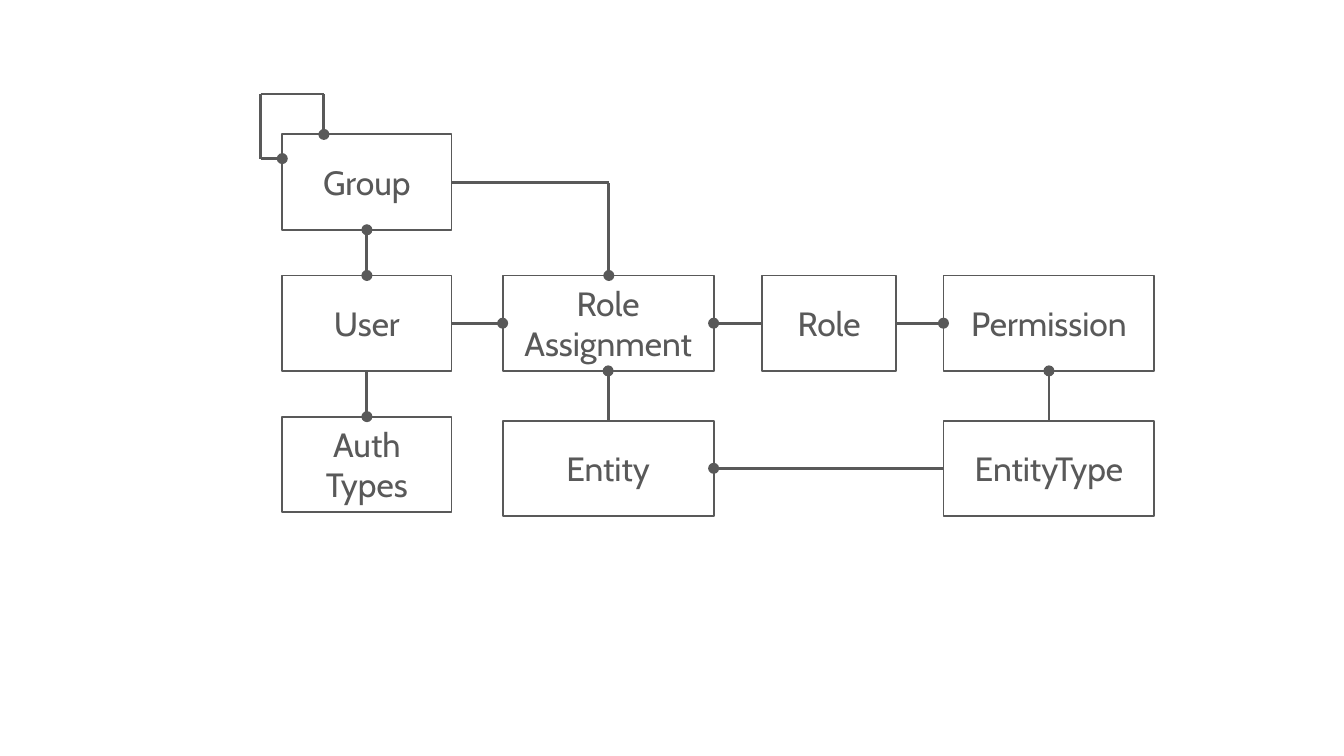
from lxml.etree import SubElement
from pptx import Presentation
from pptx.dml.color import RGBColor
from pptx.enum.shapes import MSO_CONNECTOR, MSO_SHAPE
from pptx.enum.text import MSO_ANCHOR, PP_ALIGN
from pptx.oxml.ns import qn
from pptx.util import Inches, Pt

COLORS = {"ink": "595959", "paper": "FFFFFF"}
FONT = "Cabin"
BOX_HEIGHT = 0.71

# Entities: name -> (label, left, top, width)
BOXES = {
    "group": ("Group", 2.1, 1, 1.26),
    "user": ("User", 2.1, 2.05, 1.26),
    "auth": ("Auth\vTypes", 2.1, 3.1, 1.26),
    "assignment": ("Role\vAssignment", 3.74, 2.05, 1.57),
    "entity": ("Entity", 3.74, 3.13, 1.57),
    "role": ("Role", 5.67, 2.05, 1),
    "permission": ("Permission", 7.02, 2.05, 1.57),
    "entity_type": ("EntityType", 7.02, 3.13, 1.57),
}

# Connection sites of a rectangle
TOP, LEFT, BOTTOM, RIGHT = range(4)

# Straight relations: (box, side) with a dot, (box, side), dot at the far end too
RELATIONS = [
    ("user", TOP, "group", BOTTOM, True),
    ("auth", TOP, "user", BOTTOM, False),
    ("assignment", LEFT, "user", RIGHT, False),
    ("assignment", RIGHT, "role", LEFT, False),
    ("assignment", BOTTOM, "entity", TOP, False),
    ("permission", LEFT, "role", RIGHT, False),
    ("permission", BOTTOM, "entity_type", TOP, False),
    ("entity", RIGHT, "entity_type", LEFT, False),
]

# Bent relations: corner points, dot at the start, dot at the end
ROUTES = [
    ([(2.1, 1.18), (1.94, 1.18), (1.94, 0.7), (2.41, 0.7), (2.41, 1)], True, True),
    ([(4.53, 2.05), (4.53, 1.36), (3.36, 1.36)], True, False),
]


def color(name):
    return RGBColor.from_string(COLORS[name])


def add_box(slide, label, left, top, width):
    shape = slide.shapes.add_shape(
        MSO_SHAPE.RECTANGLE, Inches(left), Inches(top), Inches(width), Inches(BOX_HEIGHT))
    shape.shadow.inherit = False
    shape.fill.solid()
    shape.fill.fore_color.rgb = color("paper")
    shape.line.color.rgb = color("ink")
    shape.line.width = Pt(1)
    frame = shape.text_frame
    frame.word_wrap = True
    frame.vertical_anchor = MSO_ANCHOR.MIDDLE
    frame.text = label
    paragraph = frame.paragraphs[0]
    paragraph.alignment = PP_ALIGN.CENTER
    paragraph.font.name = FONT
    paragraph.font.size = Pt(18)
    paragraph.font.color.rgb = color("ink")
    return shape


def add_line(slide, start=(0, 0), end=(0, 0), start_dot=False, end_dot=False):
    points = [Inches(value) for value in (*start, *end)]
    connector = slide.shapes.add_connector(MSO_CONNECTOR.STRAIGHT, *points)
    connector.line.color.rgb = color("ink")
    connector.line.width = Pt(1.5)
    properties = connector._element.spPr
    outline = properties.find(qn("a:ln"))
    for tag, dotted in (("a:headEnd", start_dot), ("a:tailEnd", end_dot)):
        if dotted:
            SubElement(outline, qn(tag), type="oval", w="med", len="med")
    SubElement(properties, qn("a:effectLst"))
    return connector


# Widescreen slide, 16 by 9
presentation = Presentation()
presentation.slide_width = Inches(10)
presentation.slide_height = Inches(10 * 9 / 16)
slide = presentation.slides.add_slide(presentation.slide_layouts[6])

# Entity boxes
shapes = {name: add_box(slide, *box) for name, box in BOXES.items()}

# Straight relations, attached to the boxes
for source, source_side, target, target_side, both in RELATIONS:
    connector = add_line(slide, start_dot=True, end_dot=both)
    connector.begin_connect(shapes[source], source_side)
    connector.end_connect(shapes[target], target_side)

# Bent relations, one line per segment
for points, start_dot, end_dot in ROUTES:
    last = len(points) - 2
    for index, (start, end) in enumerate(zip(points, points[1:])):
        add_line(slide, start, end, start_dot and index == 0, end_dot and index == last)

presentation.save("out.pptx")
